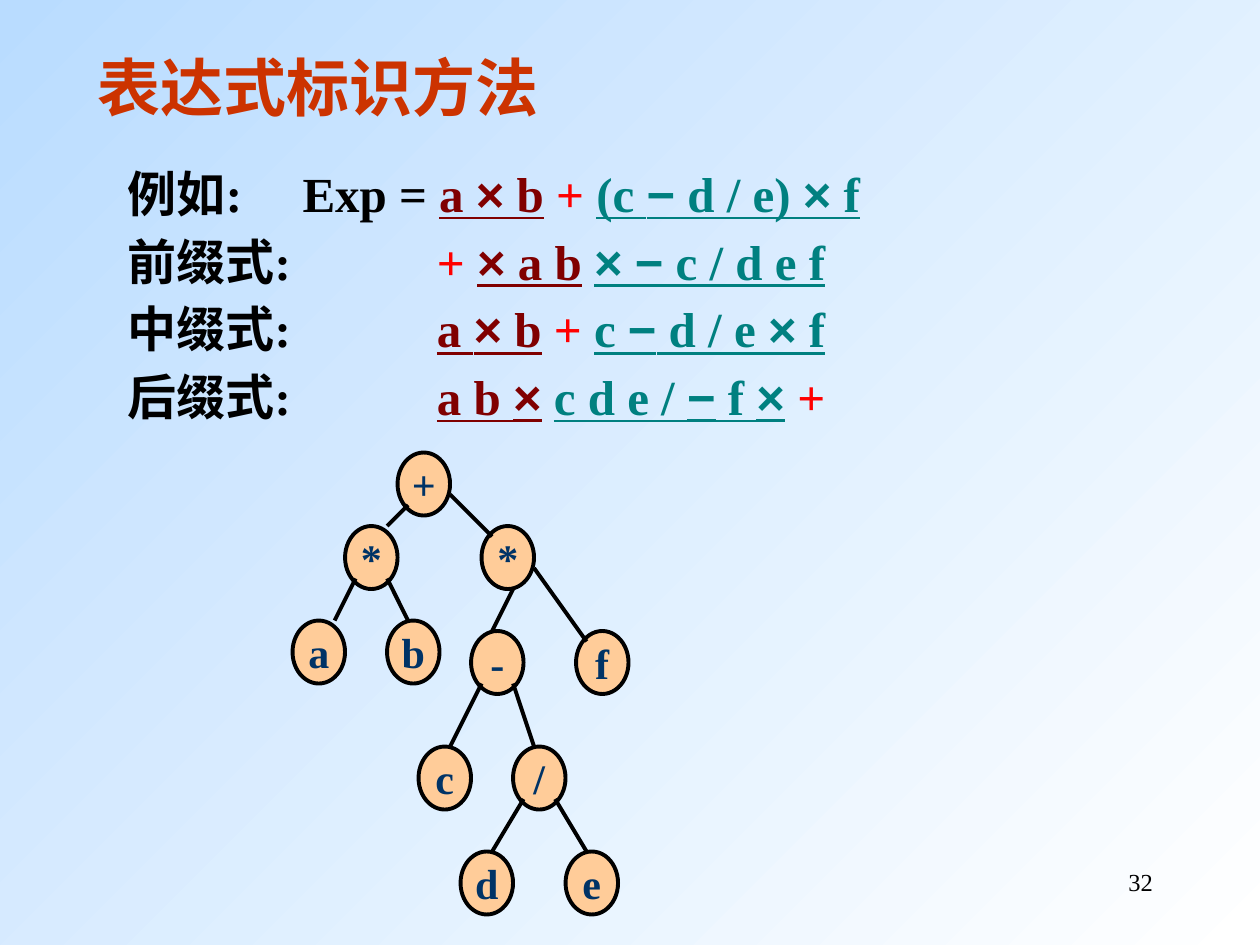
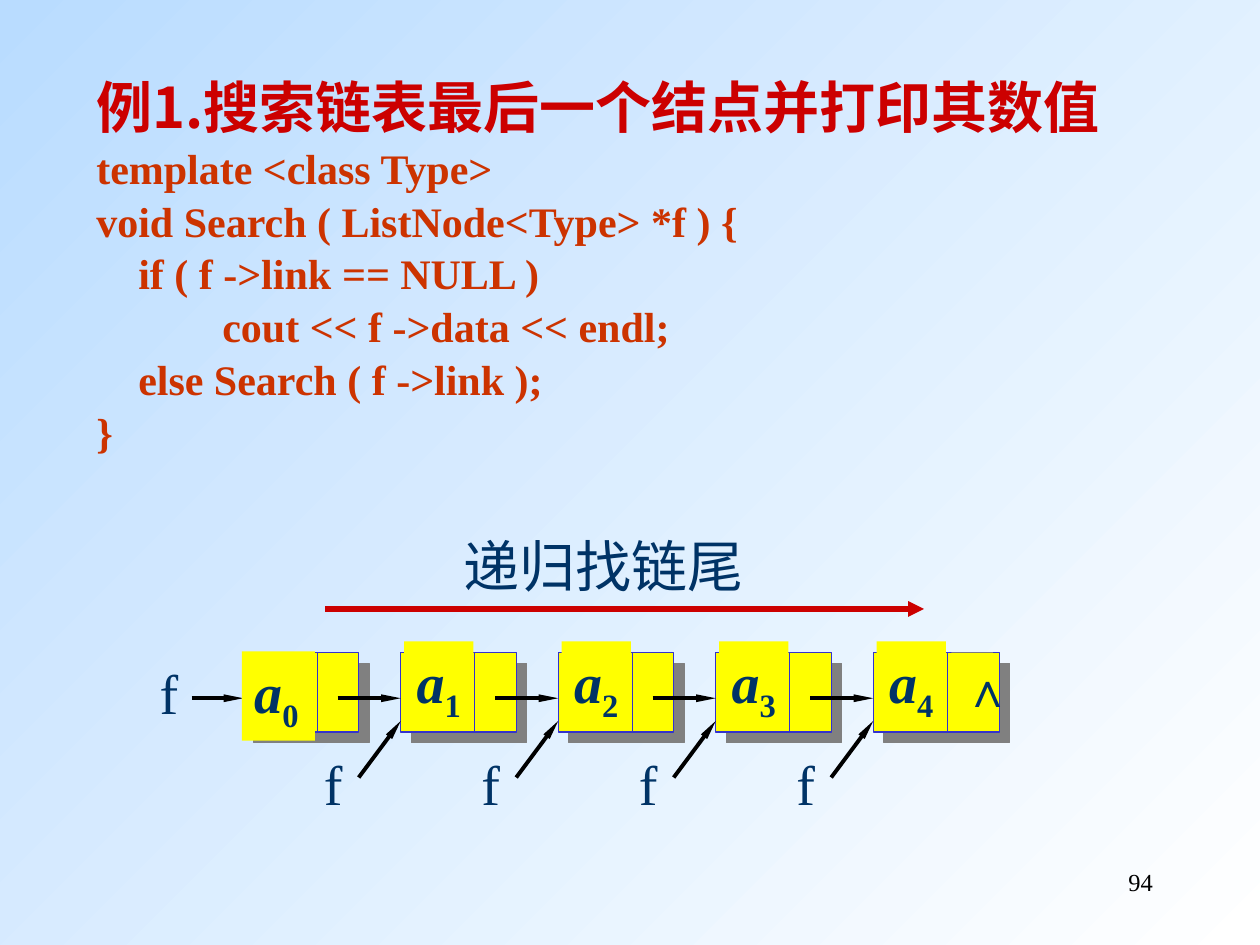
from itertools import groupby

from lxml.etree import SubElement
from pptx import Presentation
from pptx.dml.color import RGBColor
from pptx.enum.shapes import MSO_CONNECTOR as Link, MSO_SHAPE as Preset
from pptx.enum.text import MSO_ANCHOR as Anchor, MSO_AUTO_SIZE as Fit, PP_ALIGN as Align
from pptx.oxml.ns import qn
from pptx.util import Pt

SERIF, SANS, CJK = "Times New Roman", "Arial", "Noto Sans CJK SC"
BLACK, NAVY, YELLOW, RED = "000000", "003366", "FFFF00", "CC0000"
RUST, PEACH, BLUE, GREY = "CC3300", "FFCC99", "3333CC", "808080"

# Styles of the expression parts
LABEL = dict(size=28, bold=True, color=BLACK)
ROOT_OP = dict(LABEL, color="FF0000")
LEFT_PART = dict(LABEL, color="800000", underline=True)
RIGHT_PART = dict(LABEL, color="008080", underline=True)
GAP = (" ", LABEL)
PLUS = ("+ ", ROOT_OP)

# (tab stop, line spacing, runs)
NOTATIONS = [
    (99.8, 1, [("例如:\tExp = ", LABEL), ("a × b", LEFT_PART), GAP, PLUS,
               ("(c − d / e) × f", RIGHT_PART)]),
    (176.6, 1.15, [("前缀式:\t", LABEL), PLUS, ("× a b", LEFT_PART), GAP,
                   ("× − c / d e f", RIGHT_PART)]),
    (176.6, 1.15, [("中缀式:\t", LABEL), ("a × b", LEFT_PART), GAP, PLUS,
                   ("c − d / e × f", RIGHT_PART)]),
    (176.6, 1.15, [("后缀式:\t", LABEL), ("a b ×", LEFT_PART), GAP,
                   ("c d e / − f ×", RIGHT_PART), GAP, ("+", ROOT_OP)]),
]

# Points where an edge leaves its parent, in grid units from the node corner
LOW_LEFT, LOW_RIGHT, SIDE, BOTTOM = (1, 5), (4, 5), (5, 4), (3, 6)
# (label, column, row, parent index, leaving point, entering point)
TREE = [
    ("+", 10, 0, None, None, None),
    ("*", 5, 7, 0, LOW_LEFT, (4, 0)),
    ("*", 18, 7, 0, SIDE, (1, 1)),
    ("a", 0, 16, 1, LOW_LEFT, (4, 0)),
    ("b", 9, 16, 1, LOW_RIGHT, (2, 0)),
    ("-", 17, 17, 2, BOTTOM, (2, 0)),
    ("f", 27, 17, 2, SIDE, (1, 1)),
    ("c", 12, 28, 5, LOW_LEFT, (3, 0)),
    ("/", 21, 28, 5, LOW_RIGHT, (2, 0)),
    ("d", 16, 38, 8, LOW_LEFT, (3, 0)),
    ("e", 26, 38, 8, LOW_RIGHT, (2, 0)),
]
TREE_LEFT, TREE_TOP, GRID = 167.2, 258.6, 6

HEADING = dict(size=32, bold=True, color=RED, font=CJK)
CODE = dict(size=24, bold=True, color=RUST)
SEARCH_CODE = [
    [("例1.搜索链表最后一个结点并打印其数值", HEADING)],
    [("template <class Type>", CODE)],
    [("void Search ( ListNode<Type> *f ) {", CODE)],
    [("    if ( f ->link ", CODE), ("==", dict(CODE, italic=True)), (" NULL )", CODE)],
    [("\tcout << f ->data << endl;", CODE)],
    [("    else Search ( f ->link );", CODE)],
    [("}", CODE)],
]
CHAIN_LENGTH = 5
CHAIN_LEFT, CHAIN_TOP, CHAIN_STEP = 139, 373, 90
CELL_WIDTH, CELL_HEIGHT, POINTER_AT = 66, 45.4, 42.3
NOTE = dict(size=32, color=NAVY)


def rgb(code):
    return RGBColor.from_string(code)


def add_run(paragraph, text, style):
    run = paragraph.add_run()
    run.text = text
    run.font.color.rgb = rgb(style["color"])
    run.font.name = style.get("font", SERIF)
    run.font.size = Pt(style["size"])
    for key in ("bold", "italic", "underline"):
        setattr(run.font, key, style.get(key, False))
    props = run._r.get_or_add_rPr()
    if "baseline" in style:
        props.set("baseline", str(style["baseline"]))
    SubElement(props, qn("a:ea"), typeface=CJK)


def add_tab(paragraph, position):
    stops = SubElement(paragraph._p.get_or_add_pPr(), qn("a:tabLst"))
    SubElement(stops, qn("a:tab"), pos=str(Pt(position)), algn="l")


def write(shape, paragraphs, wrap=False, fit=Fit.SHAPE_TO_FIT_TEXT,
          anchor=Anchor.TOP, align=Align.LEFT):
    """Fill a shape with (tab stop, line spacing, runs) paragraphs."""
    frame = shape.text_frame
    layout = dict(word_wrap=wrap, auto_size=fit, vertical_anchor=anchor)
    for key, value in layout.items():
        setattr(frame, key, value)
    for number, (tab, spacing, runs) in enumerate(paragraphs):
        paragraph = frame.add_paragraph() if number else frame.paragraphs[0]
        if tab:
            add_tab(paragraph, tab)
        paragraph.alignment = align
        paragraph.line_spacing = spacing
        for text, style in runs:
            for is_sign, part in groupby(text, lambda char: char in "×−"):
                part_style = dict(style, font=SANS) if is_sign else style
                add_run(paragraph, "".join(part), part_style)


def add_text(slide, box, paragraphs, **layout):
    write(slide.shapes.add_textbox(*map(Pt, box)), paragraphs, **layout)


def add_line_of_text(slide, box, text, style, **layout):
    add_text(slide, box, [(None, 1, [(text, style)])], **layout)


def add_block(slide, preset, box, fill, line=None, width=0.75):
    block = slide.shapes.add_shape(preset, *map(Pt, box))
    block.shadow.inherit = False
    block.fill.solid()
    block.fill.fore_color.rgb = rgb(fill)
    if line:
        block.line.color.rgb = rgb(line)
        block.line.width = Pt(width)
    else:
        block.line.fill.background()
    return block


def add_hard_shadow(block):
    effects = block._element.spPr.find(qn("a:effectLst"))
    shadow = SubElement(effects, qn("a:outerShdw"), dist=str(Pt(8.5)),
                        dir="2700000", algn="ctr", rotWithShape="0")
    SubElement(shadow, qn("a:srgbClr"), val=GREY)


def add_line(slide, start, end, color=BLACK, width=2.25, arrow=None):
    """Draw a line; arrow is the (width, length) of a head at its end."""
    line = slide.shapes.add_connector(Link.STRAIGHT, *map(Pt, (*start, *end)))
    line.line.color.rgb = rgb(color)
    line.line.width = Pt(width)
    props = line._element.spPr
    if arrow:
        SubElement(props.find(qn("a:ln")), qn("a:tailEnd"),
                   type="triangle", w=arrow[0], len=arrow[1])
    SubElement(props, qn("a:effectLst"))


def add_slide(deck, number):
    """Add a blank slide with the shared background and page number."""
    slide = deck.slides.add_slide(deck.slide_layouts[6])
    fill = slide.background.fill
    fill.gradient()
    fill.gradient_angle = 315
    for stop, color in zip(fill.gradient_stops, ("B9DCFF", "FFFFFF")):
        stop.color.rgb = rgb(color)
    add_line_of_text(slide, (516, 492, 150, 36), str(number),
                     dict(size=14, color=BLACK),
                     wrap=True, fit=Fit.NONE, align=Align.RIGHT)
    return slide


def grid_point(column, row, offset=(0, 0)):
    return (TREE_LEFT + GRID * (column + offset[0]),
            TREE_TOP + GRID * (row + offset[1]))


def draw_tree(slide):
    style = dict(size=24, bold=True, color=NAVY)
    for label, column, row, *_ in TREE:
        box = (*grid_point(column, row), 5 * GRID, 6 * GRID)
        node = add_block(slide, Preset.OVAL, box, PEACH, BLACK, 2.25)
        write(node, [(None, 1, [(label, style)])], fit=Fit.NONE,
              anchor=Anchor.MIDDLE, align=Align.CENTER)
    for _, column, row, parent, leave, enter in TREE[1:]:
        _, parent_column, parent_row, *_ = TREE[parent]
        add_line(slide, grid_point(parent_column, parent_row, leave),
                 grid_point(column, row, enter))


def draw_chain(slide):
    slim = ("sm", "lg")
    lefts = [CHAIN_LEFT + CHAIN_STEP * i for i in range(CHAIN_LENGTH)]
    for i, left in enumerate(lefts):
        first, last = i == 0, i == CHAIN_LENGTH - 1
        width = CELL_WIDTH + (6 if last else 0)
        cell = add_block(slide, Preset.RECTANGLE,
                         (left, CHAIN_TOP, width, CELL_HEIGHT), YELLOW, BLUE)
        add_hard_shadow(cell)
        divider = left + POINTER_AT
        add_line(slide, (divider, CHAIN_TOP),
                 (divider, CHAIN_TOP + CELL_HEIGHT), BLUE, 0.75)
        add_line(slide, (left - (29.5 if first else 36), 399), (left, 399), arrow=slim)
        if first:
            f_corner = (84.2, CHAIN_TOP)
        else:
            f_corner = (left - 51, 424.8)
            add_line(slide, (left - 24, 444.3), (left, 412), arrow=slim)
        add_line_of_text(slide, (*f_corner, 33, 46), "f", NOTE)

    end_mark = add_block(slide, Preset.RECTANGLE, (543.6, CHAIN_TOP, 23.8, 41), YELLOW)
    write(end_mark, [(None, 1, [("∧", dict(size=28, bold=True, color=NAVY, font=SANS))])])

    value = dict(NOTE, bold=True)
    for i, left in enumerate(lefts):
        box = (left + 2, 366.5, 39.6, 51) if i else (left - 0.8, 372.2, 41.8, 51)
        label = add_block(slide, Preset.RECTANGLE, box, YELLOW)
        write(label, [(None, 1, [("a", dict(value, italic=True)),
                                 (str(i), dict(value, baseline=-25000))])])


def main():
    deck = Presentation()
    deck.slide_width, deck.slide_height = Pt(720), Pt(540)

    notation = add_slide(deck, 32)
    add_text(notation, (66, 90, 566, 157), NOTATIONS, wrap=True)
    add_line_of_text(notation, (48.4, 24, 270, 50.4), "表达式标识方法",
                     dict(size=36, bold=True, color=RUST))
    draw_tree(notation)

    search = add_slide(deck, 94)
    add_text(search, (48, 36, 606, 269),
             [(72, 1.05, runs) for runs in SEARCH_CODE], wrap=True)
    draw_chain(search)
    add_line(search, (186, 348), (528, 348), RED, 3, arrow=("med", "med"))
    add_line_of_text(search, (258, 300, 180, 46), "递归找链尾", NOTE)

    deck.save("out.pptx")


if __name__ == "__main__":
    main()
